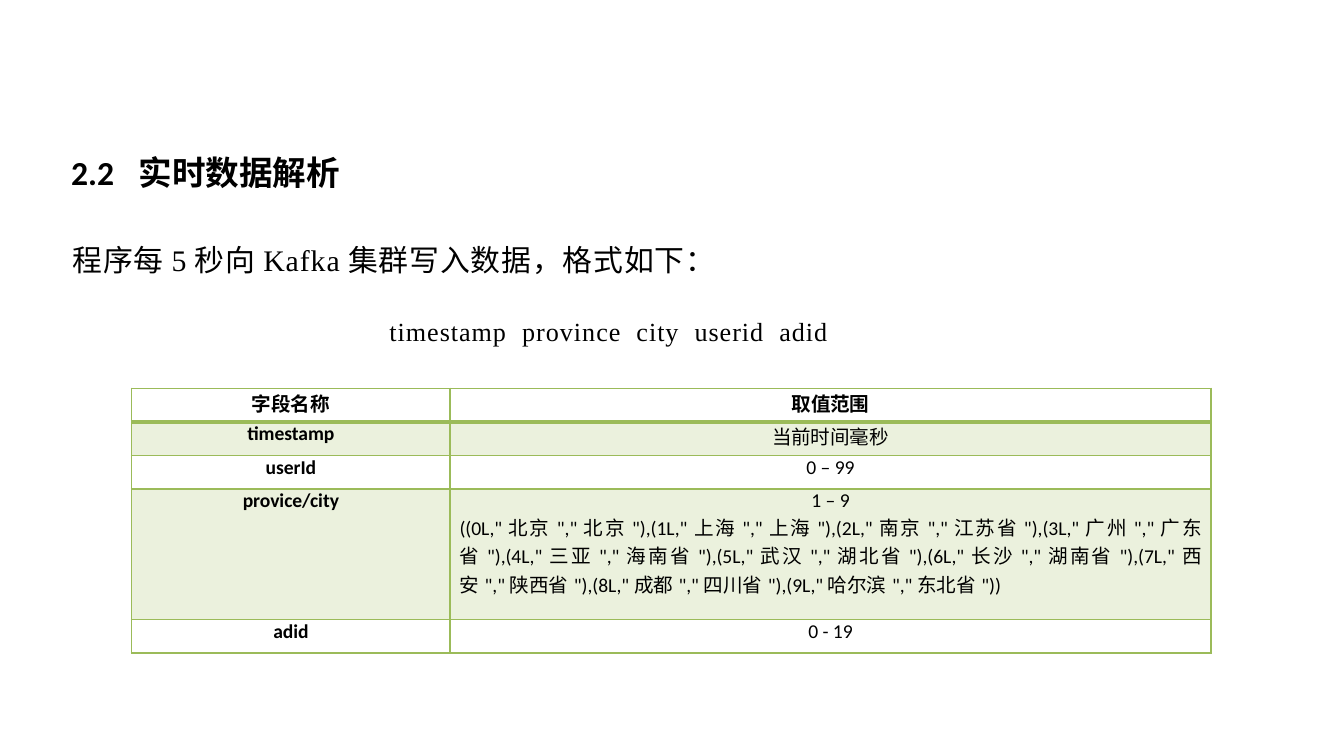
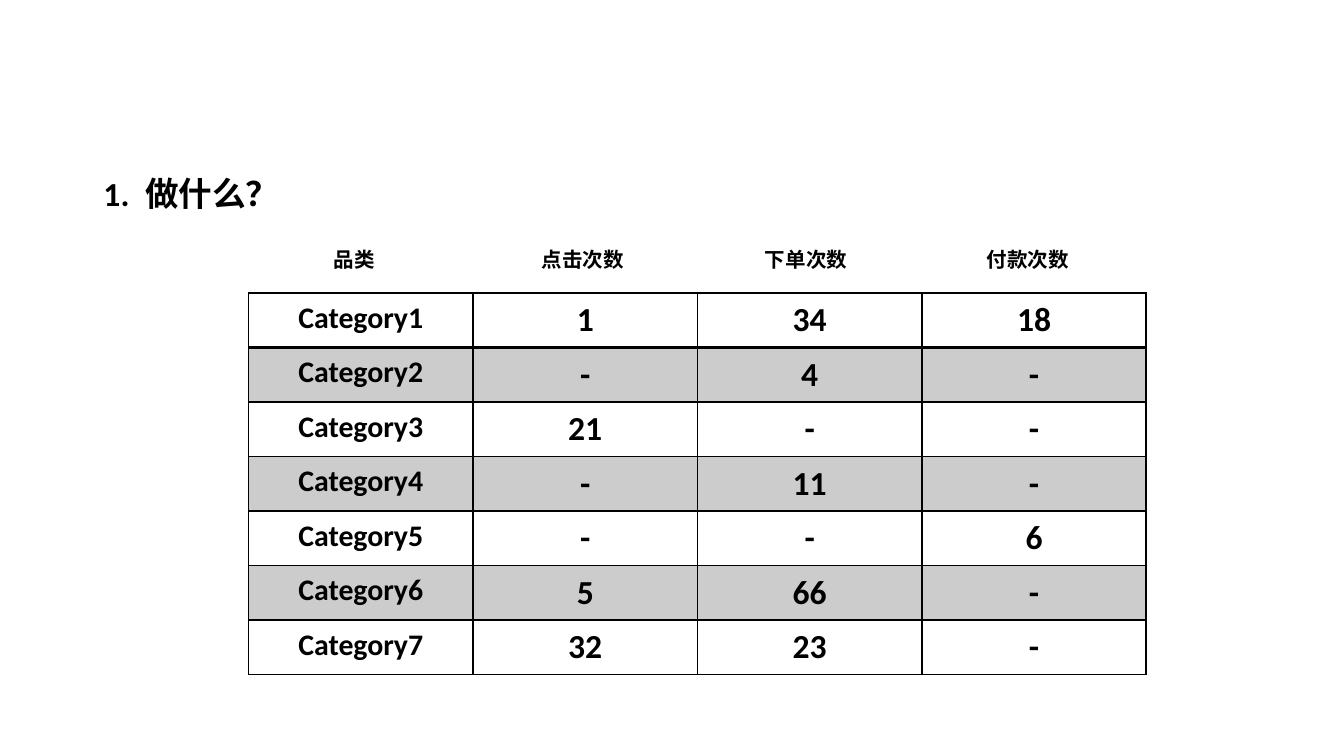
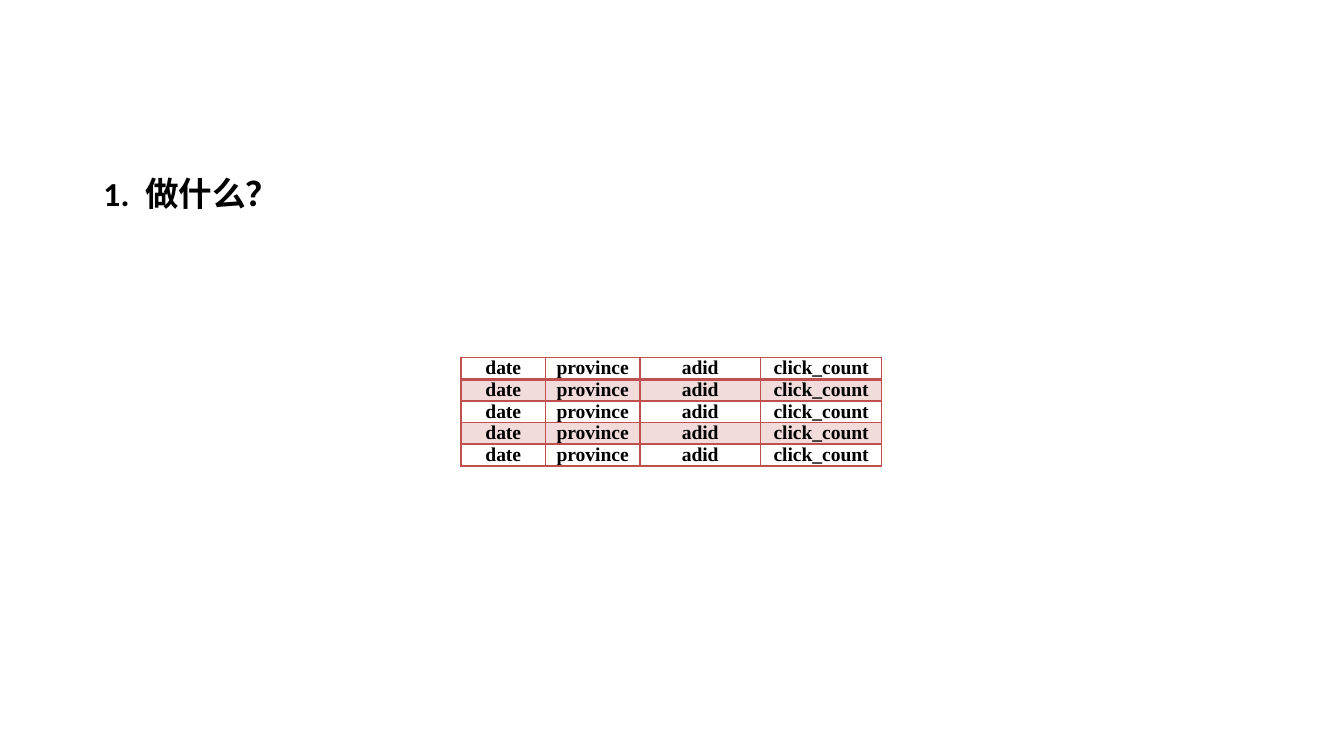
from lxml import etree
from pptx import Presentation
from pptx.dml.color import RGBColor
from pptx.enum.text import MSO_ANCHOR, MSO_AUTO_SIZE, PP_ALIGN
from pptx.oxml.ns import qn
from pptx.util import Inches, Pt

LEFT, CENTER, JUSTIFY = PP_ALIGN.LEFT, PP_ALIGN.CENTER, PP_ALIGN.JUSTIFY
TOP = MSO_ANCHOR.TOP
GROW = MSO_AUTO_SIZE.SHAPE_TO_FIT_TEXT
TITLE_ONLY = 5

SANS, SERIF = "Calibri", "Times New Roman"
BLACK, GREEN, RED = "000000", "9BBB59", "C0504D"
BAND_OPACITY = 20
NARROW_MARGINS = (0.07, 0)
DEFAULT_MARGINS = (0.1, 0.05)
LETTER_SPACING = 0.5
FIELD_SPACING = 4.5


def color(hex_string):
    return RGBColor.from_string(hex_string)


def add_tabs(paragraph, positions, alignment):
    """Add tab stops, in inches from the text edge; alignment is "l" or "ctr"."""
    tab_list = etree.SubElement(paragraph._p.get_or_add_pPr(), qn("a:tabLst"))
    for position in positions:
        etree.SubElement(tab_list, qn("a:tab"), pos=str(Inches(position)), algn=alignment)


def add_spaced_run(paragraph, text, points):
    """Add a run with extra space after each letter."""
    run = paragraph.add_run()
    run.text = text
    run._r.get_or_add_rPr().set("spc", str(round(points * 100)))


def add_border(cell, side, hex_string, width):
    line = etree.SubElement(cell._tc.get_or_add_tcPr(), qn(f"a:ln{side}"), w=str(Pt(width)))
    fill = etree.SubElement(line, qn("a:solidFill"))
    etree.SubElement(fill, qn("a:srgbClr"), val=hex_string)


def fill_band(cell, hex_string):
    """Fill a cell with a translucent tint of the table's colour."""
    cell.fill.solid()
    cell.fill.fore_color.rgb = color(hex_string)
    tint = cell._tc.tcPr.find(f"{qn('a:solidFill')}/{qn('a:srgbClr')}")
    etree.SubElement(tint, qn("a:alpha"), val=str(BAND_OPACITY * 1000))


class Deck:
    def __init__(self):
        self.presentation = Presentation()
        self.presentation.slide_width = Inches(10)
        self.presentation.slide_height = Inches(10 * 9 / 16)
        self.slide = None

    def style(self, paragraph, size, font=SANS, bold=False, alignment=LEFT,
              line_spacing=None):
        paragraph.alignment = alignment
        paragraph.line_spacing = line_spacing
        paragraph.font.size = Pt(size)
        paragraph.font.name = font
        paragraph.font.bold = bold
        paragraph.font.color.rgb = color(BLACK)

    def add_slide(self, title, left, top, width, tabs=()):
        layout = self.presentation.slide_layouts[TITLE_ONLY]
        self.slide = self.presentation.slides.add_slide(layout)
        shape = self.slide.shapes.title
        shape.left, shape.top = Inches(left), Inches(top)
        shape.width, shape.height = Inches(width), Inches(0.4)
        frame = shape.text_frame
        frame.text = title
        frame.word_wrap = False
        frame.auto_size = GROW
        frame.vertical_anchor = TOP
        paragraph = frame.paragraphs[0]
        if tabs:
            add_tabs(paragraph, tabs, "l")
        self.style(paragraph, 18, bold=True)

    def text_box(self, left, top, width, height):
        """Add an empty text box and return its paragraph."""
        box = self.slide.shapes.add_textbox(
            Inches(left), Inches(top), Inches(width), Inches(height))
        box.text_frame.word_wrap = True
        box.text_frame.auto_size = GROW
        return box.text_frame.paragraphs[0]

    def heading_row(self, headings, centers, left, top, width, height):
        """Add column headings on one line, centred on tab stops."""
        paragraph = self.text_box(left, top, width, height)
        paragraph.text = "".join(f"\t{heading}" for heading in headings)
        add_tabs(paragraph, centers, "ctr")
        self.style(paragraph, 11, bold=True)

    def body_line(self, fields, left, top, width, height, size):
        """Add an indented line of letter-spaced fields with wide gaps between them."""
        paragraph = self.text_box(left, top, width, height)
        for index, field in enumerate(fields):
            if index:
                add_spaced_run(paragraph, " ", FIELD_SPACING)
            add_spaced_run(paragraph, field, LETTER_SPACING)
        self.style(paragraph, size, SERIF, alignment=JUSTIFY, line_spacing=Pt(16.5))
        paragraph.space_after = Pt(2.4)
        paragraph._p.get_or_add_pPr().set("indent", str(Inches(0.32)))

    def table(self, rows, left, top, columns, height, accent, cell_style,
              margins=NARROW_MARGINS):
        """Add a banded table; cell_style(row, column) gives the text style."""
        frame = self.slide.shapes.add_table(
            len(rows), len(columns), Inches(left), Inches(top),
            Inches(sum(columns)), Inches(height))
        table = frame.table
        table.first_row = table.horz_banding = False
        for column, width in zip(table.columns, columns):
            column.width = Inches(width)
        for row_index, row in enumerate(rows):
            for column_index, text in enumerate(row):
                cell = table.cell(row_index, column_index)
                cell.margin_left = cell.margin_right = Inches(margins[0])
                cell.margin_top = cell.margin_bottom = Inches(margins[1])
                cell.text = text
                for index, paragraph in enumerate(cell.text_frame.paragraphs):
                    self.style(paragraph, alignment=JUSTIFY if index else CENTER,
                               **cell_style(row_index, column_index))
                for side in "LRTB":
                    below_header = (row_index, side) in ((0, "B"), (1, "T"))
                    add_border(cell, side, accent, 2 if below_header else 1)
                if row_index % 2:
                    fill_band(cell, accent)
                else:
                    cell.fill.background()
        return table


def add_data_format_slide(deck):
    deck.add_slide("2.2\t实时数据解析", 0.43, 1.08, 2.28, tabs=[0.5])
    deck.body_line(["程序每5秒向Kafka集群写入数据，格式如下："], 0.12, 1.79, 6.93, 0.34, 16)
    deck.body_line(["timestamp", "province", "city", "userid", "adid"],
                   2.48, 2.3, 3.86, 0.33, 14)
    cities = (
        '((0L,"北京","北京"),(1L,"上海","上海"),(2L,"南京","江苏省"),(3L,"广州","广东省"),'
        '(4L,"三亚","海南省"),(5L,"武汉","湖北省"),(6L,"长沙","湖南省"),(7L,"西安","陕西省"),'
        '(8L,"成都","四川省"),(9L,"哈尔滨","东北省"))')
    fields = [
        ("字段名称", "取值范围"),
        ("timestamp", "当前时间毫秒"),
        ("userId", "0 – 99"),
        ("provice/city", f"1 – 9\n{cities}"),
        ("adid", "0 - 19"),
    ]
    table = deck.table(
        fields, 0.98, 2.89, [2.37, 5.66], 1.97, GREEN,
        lambda row, column: {"size": 10.5, "bold": row == 0 or column == 0})
    for row, (name, _) in zip(table.rows, fields):
        row.height = Inches(0.97 if name == "provice/city" else 0.25)


def add_category_slide(deck):
    deck.add_slide("1. 做什么？", 0.67, 1.24, 1.42)
    counts = [
        ("1", "34", "18"),
        ("-", "4", "-"),
        ("21", "-", "-"),
        ("-", "11", "-"),
        ("-", "-", "6"),
        ("5", "66", "-"),
        ("32", "23", "-"),
    ]
    rows = [(f"Category{number}", *values) for number, values in enumerate(counts, 1)]
    deck.table(rows, 1.85, 2.18, [1.67] * 4, 2.84, BLACK,
               lambda row, column: {"size": 18 if column else 16, "bold": True},
               DEFAULT_MARGINS)
    deck.heading_row(["品类", "点击次数", "下单次数", "付款次数"], [0.3, 2, 3.66, 5.31],
                     2.24, 1.79, 6.14, 0.29)


def add_click_count_slide(deck):
    deck.add_slide("1. 做什么？", 0.67, 1.24, 1.42)
    rows = [("date", "province", "adid", "click_count")] * 5
    deck.table(rows, 3.43, 2.66, [0.63, 0.7, 0.9, 0.9], 0.8, RED,
               lambda row, column: {"size": 10.5, "font": SERIF, "bold": True,
                                    "line_spacing": Pt(11.6)})


def main():
    deck = Deck()
    add_data_format_slide(deck)
    add_category_slide(deck)
    add_click_count_slide(deck)
    deck.presentation.save("out.pptx")


if __name__ == "__main__":
    main()
